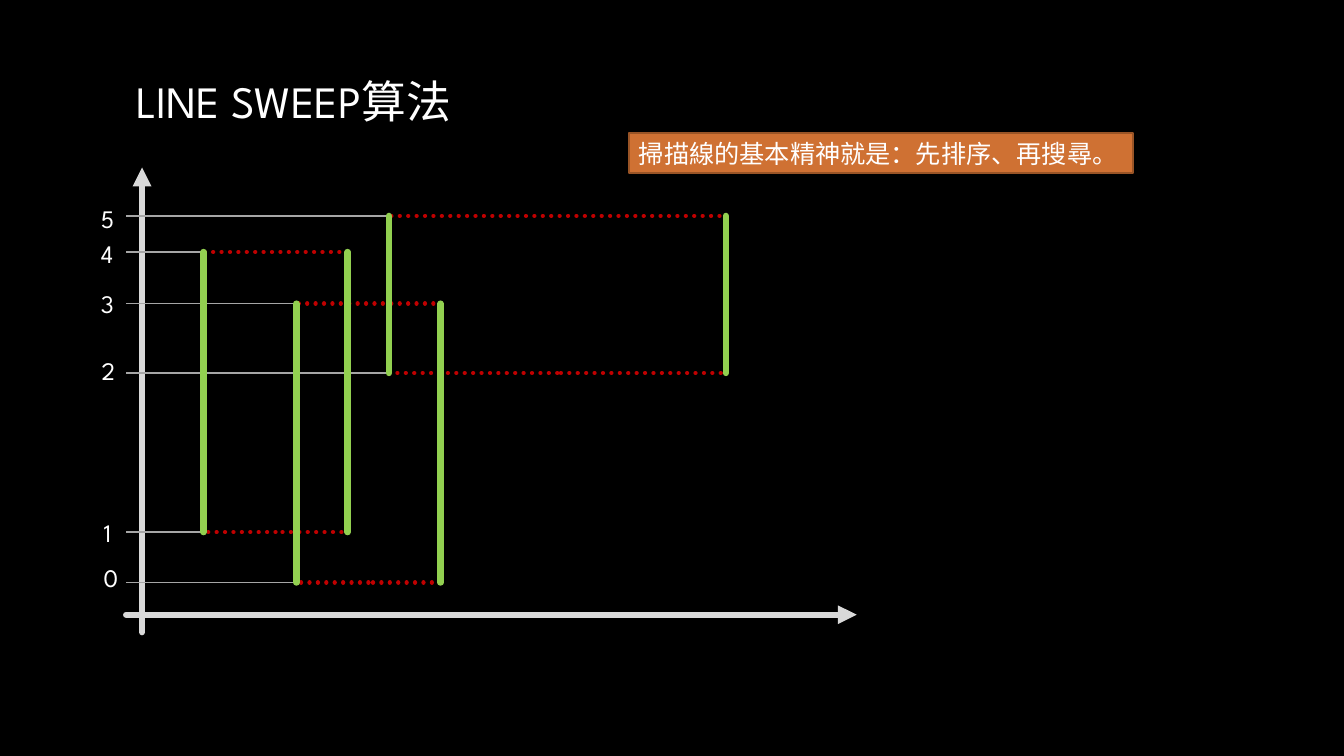
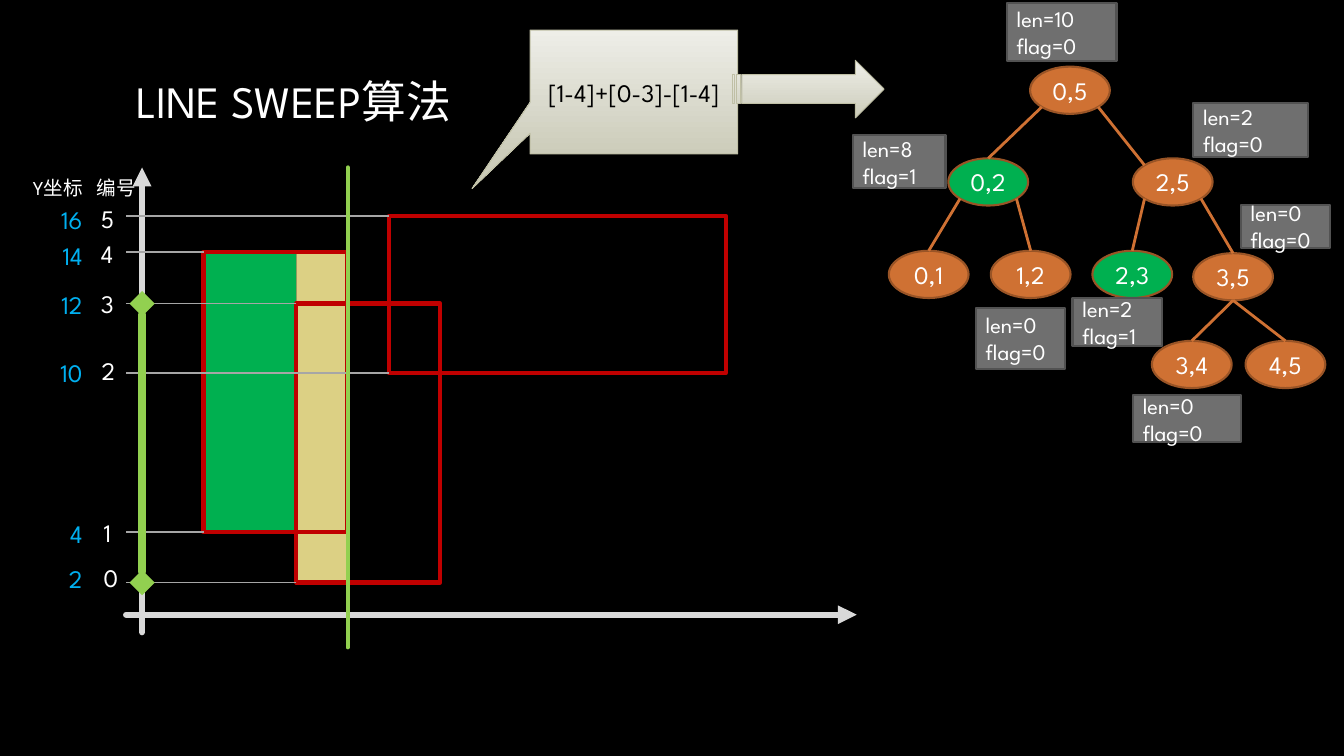
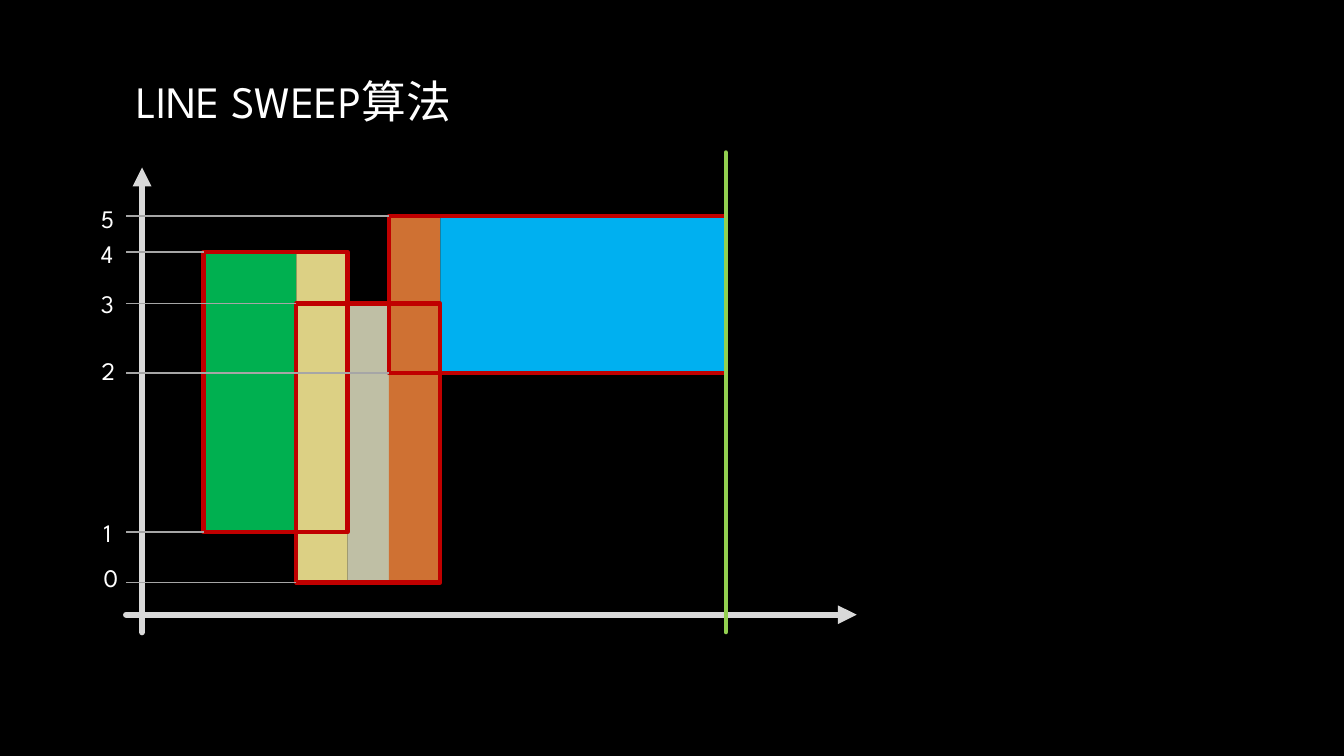
"""Builds three slides that explain the line sweep algorithm."""
from math import sqrt

from lxml import etree
from pptx import Presentation
from pptx.dml.color import RGBColor
from pptx.enum.dml import MSO_LINE
from pptx.enum.shapes import MSO_CONNECTOR, MSO_SHAPE
from pptx.enum.text import MSO_ANCHOR, PP_ALIGN
from pptx.oxml.ns import qn
from pptx.util import Cm, Pt

STRAIGHT = MSO_CONNECTOR.STRAIGHT
RECT, OVAL = MSO_SHAPE.RECTANGLE, MSO_SHAPE.OVAL
CALLOUT, STRIPED_ARROW = MSO_SHAPE.RECTANGULAR_CALLOUT, MSO_SHAPE.STRIPED_RIGHT_ARROW
DOTTED = MSO_LINE.ROUND_DOT
TOP, MIDDLE = MSO_ANCHOR.TOP, MSO_ANCHOR.MIDDLE
LEFT, CENTER, RIGHT = PP_ALIGN.LEFT, PP_ALIGN.CENTER, PP_ALIGN.RIGHT

FONT, BANNER_FONT = "League Spartan", "Roboto"
BLACK, WHITE = "000000", "FFFFFF"
AXIS, GUIDE, TAG, TAG_EDGE = "D9D9D9", "A6A6A6", "6F6F6F", "525252"
RED, LIME, GREEN, BLUE = "C00000", "92D050", "00B050", "00B0F0"
ORANGE, BROWN, TAN, OLIVE = "CF7133", "995426", "DCD084", "BFBFA5"
OLIVE_FADE = ("EEEEE8", "CCCCBA")

AXIS_X, AXIS_Y, GUIDE_X = 3.58, 15.49, 3.18
LEVELS = [14.68, 13.41, 9.4, 7.65, 6.35, 5.44]
NUMBER_SPOTS = [(2.36, 14.05), (2.36, 12.9), (2.31, 8.84),
                (2.29, 7.14), (2.29, 5.89), (2.29, 5)]
Y_VALUES = [2, 4, 10, 12, 14, 16]
CUTS = [5.13, 7.47, 8.76, 9.8, 11.1, 18.29]
RECTANGLES = [(0, 2, 4, 1), (1, 4, 3, 0), (3, 5, 5, 2)]
SWEPT = [(0, 1, 4, 1, GREEN), (1, 2, 4, 0, TAN)]
SWEPT_LATER = [(2, 3, 3, 0, OLIVE), (3, 4, 5, 0, ORANGE), (4, 5, 5, 2, BLUE)]

NODE_W, NODE_H = 2.01, 1.19
NODES = {"0,5": (25.96, 1.68), "0,2": (23.9, 3.99), "0,1": (22.4, 6.32),
         "1,2": (24.97, 6.32), "2,5": (28.55, 3.99), "2,3": (27.53, 6.32),
         "3,5": (30.07, 6.38), "3,4": (29.03, 8.59), "4,5": (31.39, 8.59)}
COVERED = {"0,2", "2,3"}
DIAGONAL = sqrt(0.5)
BRANCHES = [("0,5", -DIAGONAL, "0,2"), ("0,5", DIAGONAL, "2,5"),
            ("0,2", -DIAGONAL, "0,1"), ("0,2", DIAGONAL, "1,2"),
            ("2,5", -DIAGONAL, "2,3"), ("2,5", DIAGONAL, "3,5"),
            ("3,5", 0, "3,4"), ("3,5", 0, "4,5")]
TAGS = [(10, 0, (25.37, 0.08, 2.77, 1.45)), (0, 0, (24.59, 7.77, 2.26, 1.52)),
        (2, 1, (27.03, 7.52, 2.26, 1.19)), (0, 0, (31.27, 5.16, 2.26, 1.09)),
        (0, 0, (28.55, 9.96, 2.72, 1.19)), (8, 1, (21.49, 3.4, 2.34, 1.35)),
        (2, 0, (30.07, 2.59, 2.9, 1.37))]


def rgb(value):
    return RGBColor.from_string(value)


def apply(target, values):
    for name, value in values.items():
        setattr(target, name, value)


def write(shape, text, size=18, color=WHITE, align=LEFT, anchor=TOP,
          wrap=True, font=FONT):
    frame = shape.text_frame
    frame.text = text
    apply(frame, {"word_wrap": wrap, "vertical_anchor": anchor})
    for paragraph in frame.paragraphs:
        paragraph.alignment = align
        for run in paragraph.runs:
            apply(run.font, {"name": font, "size": Pt(size)})
            run.font.color.rgb = rgb(color)


def add_label(slide, box, text, **style):
    label = slide.shapes.add_textbox(*map(Cm, box))
    write(label, text, **style)
    return label


def add_figure(slide, preset, box, fill=None, edge=None, width=1.5, dash=None):
    figure = slide.shapes.add_shape(preset, *map(Cm, box))
    figure.shadow.inherit = False
    if isinstance(fill, tuple):
        figure.fill.gradient()
        figure.fill.gradient_angle = 270
        for stop, color in zip(figure.fill.gradient_stops, fill):
            stop.color.rgb = rgb(color)
    elif fill:
        figure.fill.solid()
        figure.fill.fore_color.rgb = rgb(fill)
    else:
        figure.fill.background()
    if edge:
        figure.line.color.rgb = rgb(edge)
        apply(figure.line, {"width": Pt(width), "dash_style": dash})
    else:
        figure.line.fill.background()
    return figure


def add_line(slide, start, end, color, width, head=None, tail=None):
    line = slide.shapes.add_connector(STRAIGHT, *map(Cm, (*start, *end)))
    line.line.color.rgb = rgb(color)
    line.line.width = Pt(width)
    properties = line._element.spPr
    outline = properties.find(qn("a:ln"))
    if width > 2:
        outline.set("cap", "rnd")
    for end_name, kind in (("a:headEnd", head), ("a:tailEnd", tail)):
        if kind:
            etree.SubElement(outline, qn(end_name), type=kind)
    etree.SubElement(properties, qn("a:effectLst"))
    return line


def span(first, last, upper, lower):
    """Return the box between two cuts and two levels."""
    left, top = CUTS[first], LEVELS[upper]
    return left, top, CUTS[last] - left, LEVELS[lower] - top


def add_plot(slide, strips=(), dash=None):
    """Draw the title, the swept strips, the axes, rectangles and levels."""
    for *place, color in strips:
        add_figure(slide, RECT, span(*place), color)
    add_label(slide, (3.18, 1.7, 27.5, 1.65), "LINE SWEEP算法", size=32, anchor=MIDDLE)
    add_line(slide, (GUIDE_X, AXIS_Y), (21.59, AXIS_Y), AXIS, 4.5, tail="triangle")
    add_line(slide, (AXIS_X, 15.93), (AXIS_X, 4.22), AXIS, 4.5, tail="triangle")
    for place in RECTANGLES:
        outline = add_figure(slide, RECT, span(*place), edge=RED, width=3, dash=dash)
        if dash:
            outline._element.spPr.find(qn("a:ln")).set("cap", "rnd")
    for first, _, *ends in RECTANGLES:
        for level in ends:
            y = LEVELS[level]
            add_line(slide, (CUTS[first], y), (GUIDE_X, y), GUIDE, 1)
    for number, spot in enumerate(NUMBER_SPOTS):
        add_label(slide, (*spot, 0.86, 1.02), str(number), wrap=False)


def add_sweep(slide, cut, top):
    add_line(slide, (CUTS[cut], top), (CUTS[cut], top + 12.09), LIME, 3)


def add_y_values(slide):
    for value, (_, top) in zip(Y_VALUES, NUMBER_SPOTS):
        add_label(slide, (0.76, top + 0.03, 1.57, 1.02), str(value),
                  color=BLUE, align=RIGHT)
    heading = add_label(slide, (0.58, 4.32, 3.12, 0.86), "Y坐标\t编号", size=14)
    settings = heading.text_frame.paragraphs[0]._p.get_or_add_pPr()
    stops = etree.SubElement(settings, qn("a:tabLst"))
    etree.SubElement(stops, qn("a:tab"), pos=str(Cm(1.6)), algn="l")


def add_tree(slide):
    """Draw the segment tree with its branches and its len/flag tags."""
    nodes = {}
    for name, spot in NODES.items():
        fill = GREEN if name in COVERED else ORANGE
        nodes[name] = add_figure(slide, OVAL, (*spot, NODE_W, NODE_H), fill, BROWN)
        write(nodes[name], name, align=CENTER, anchor=MIDDLE)
    for parent, side, child in BRANCHES:
        left, top = NODES[parent]
        start = (left + NODE_W / 2 * (1 + side),
                 top + NODE_H / 2 * (1 + sqrt(1 - side ** 2)))
        left, top = NODES[child]
        if child == "2,5":
            end = (left + NODE_W / 2 * (1 - DIAGONAL), top + NODE_H / 2 * (1 - DIAGONAL))
            add_line(slide, start, end, ORANGE, 2)
        else:
            branch = add_line(slide, start, (left + NODE_W / 2, top), ORANGE, 2)
            branch.end_connect(nodes[child], 0)
    for length, flag, box in TAGS:
        tag = add_figure(slide, RECT, box, TAG, TAG_EDGE)
        write(tag, f"len={length}\nflag={flag}", size=16, anchor=MIDDLE)


def build_idea(slide):
    add_plot(slide, dash=DOTTED)
    for first, last, upper, lower in RECTANGLES:
        for cut in (first, last):
            add_line(slide, (CUTS[cut], LEVELS[upper]), (CUTS[cut], LEVELS[lower]),
                     LIME, 4.5)
    banner = add_figure(slide, RECT, (15.85, 3.35, 12.7, 1.02), ORANGE, BROWN)
    write(banner, "掃描線的基本精神就是：先排序、再搜尋。", wrap=False, font=BANNER_FONT)


def build_step(slide):
    add_plot(slide, SWEPT)
    add_sweep(slide, 2, 4.22)
    add_line(slide, (AXIS_X, LEVELS[3]), (AXIS_X, LEVELS[0]), LIME, 6,
             head="diamond", tail="diamond")
    callout = add_figure(slide, CALLOUT, (13.36, 0.76, 5.23, 3.12), OLIVE_FADE, OLIVE, 0.75)
    callout.adjustments[0], callout.adjustments[1] = -0.78, 0.78
    write(callout, "[1-4]+[0-3]-[1-4]", color=BLACK, align=CENTER, anchor=MIDDLE)
    add_figure(slide, STRIPED_ARROW, (18.47, 1.52, 3.81, 1.45), OLIVE_FADE, OLIVE, 0.75)
    add_tree(slide)
    add_y_values(slide)


def build_result(slide):
    add_plot(slide, SWEPT + SWEPT_LATER)
    add_sweep(slide, 5, 3.84)


def main():
    deck = Presentation()
    apply(deck, {"slide_width": Cm(33.87), "slide_height": Cm(19.05)})
    backdrop = deck.slide_master.background.fill
    backdrop.solid()
    backdrop.fore_color.rgb = rgb(BLACK)
    for build in (build_idea, build_step, build_result):
        build(deck.slides.add_slide(deck.slide_layouts[6]))
    deck.save("out.pptx")


if __name__ == "__main__":
    main()
